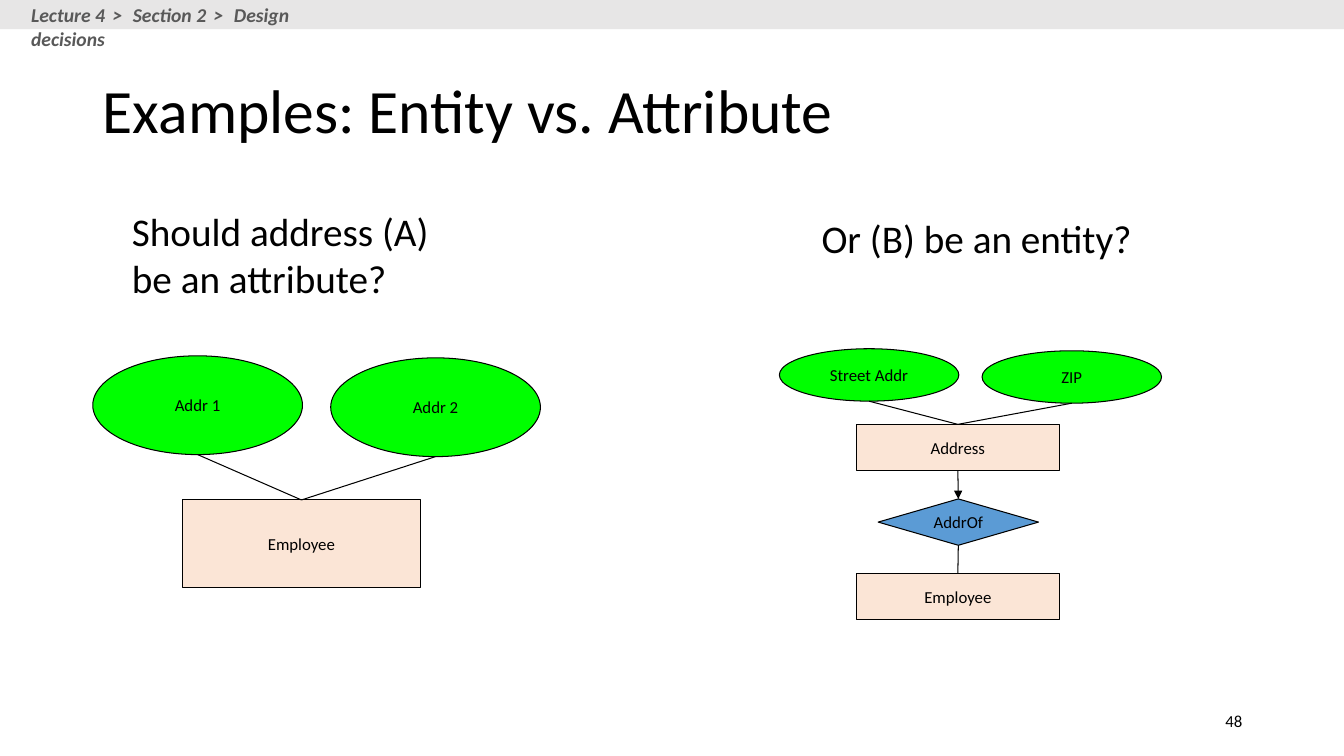
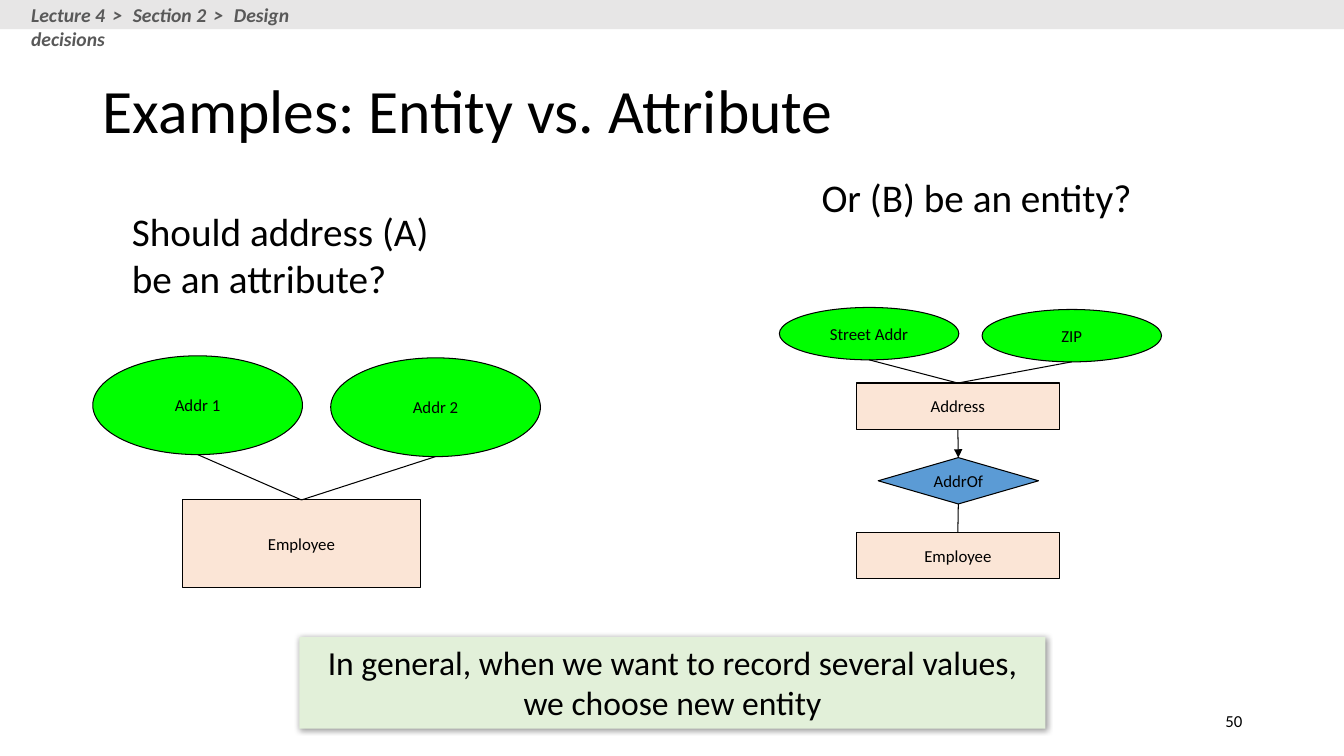
from dataclasses import dataclass
from typing import Any

from lxml import etree
from pptx import Presentation
from pptx import util as u
from pptx.dml.color import RGBColor
from pptx.enum import shapes, text
from pptx.oxml import ns

BLACK = "000000"
BAND = "E7E6E6"
CRUMB = "595959"
ENTITY = "FBE5D6"
ATTRIBUTE = "00FF00"
RELATION = "5B9BD5"
CALLOUT = "E2F0D9"

TITLE = "Examples: Entity vs. Attribute"
CRUMBS = ("Lecture 4", "Section 2", "Design decisions")
CRUMB_SPACING = 210

LEFT = {"alignment": text.PP_ALIGN.LEFT}
CENTER = {"alignment": text.PP_ALIGN.CENTER}
RIGHT = {"alignment": text.PP_ALIGN.RIGHT}
TOP = {"vertical_anchor": text.MSO_ANCHOR.TOP, "word_wrap": True,
       "auto_size": text.MSO_AUTO_SIZE.NONE}
MIDDLE = TOP | {"vertical_anchor": text.MSO_ANCHOR.MIDDLE}
LABEL = MIDDLE | {"word_wrap": False}


@dataclass(frozen=True)
class Area:
    left: float
    top: float
    width: float
    height: float

    def raised(self, lift: float) -> "Area":
        return Area(self.left, self.top - lift, self.width, self.height)

    def lengths(self) -> list[u.Length]:
        return [u.Inches(value) for value in (self.left, self.top, self.width, self.height)]


@dataclass(frozen=True)
class Kind:
    preset: shapes.MSO_SHAPE
    fill: str


@dataclass(frozen=True)
class Node:
    label: str
    kind: Kind
    area: Area


@dataclass(frozen=True)
class Link:
    source: int
    target: int
    arrow: bool = False


@dataclass(frozen=True)
class Diagram:
    question: str
    question_area: Area
    nodes: tuple[Node, ...]
    links: tuple[Link, ...]


@dataclass(frozen=True)
class PageData:
    number: int
    entity_lift: float = 0
    conclusion: str = ""


RECTANGLE = shapes.MSO_SHAPE.RECTANGLE
OVAL = shapes.MSO_SHAPE.OVAL
ENTITY_KIND = Kind(RECTANGLE, ENTITY)
ATTRIBUTE_KIND = Kind(OVAL, ATTRIBUTE)
RELATION_KIND = Kind(shapes.MSO_SHAPE.DIAMOND, RELATION)

ATTRIBUTE_DIAGRAM = Diagram(
    "Should address (A) be an attribute?",
    Area(1.21, 2.01, 3.39, 1.04),
    (
        Node("Employee", ENTITY_KIND, Area(1.81, 4.96, 2.36, 0.87)),
        Node("Addr 1", ATTRIBUTE_KIND, Area(0.92, 3.53, 2.08, 0.98)),
        Node("Addr 2", ATTRIBUTE_KIND, Area(3.28, 3.55, 2.08, 0.98)),
    ),
    (Link(1, 0), Link(2, 0)),
)
ENTITY_DIAGRAM = Diagram(
    "Or (B) be an entity?",
    Area(8.05, 2.08, 3.39, 0.57),
    (
        Node("Address", ENTITY_KIND, Area(8.49, 4.21, 2.02, 0.46)),
        Node("Street Addr", ATTRIBUTE_KIND, Area(7.73, 3.46, 1.78, 0.52)),
        Node("ZIP", ATTRIBUTE_KIND, Area(9.74, 3.48, 1.78, 0.52)),
        Node("AddrOf", RELATION_KIND, Area(8.71, 4.95, 1.59, 0.46)),
        Node("Employee", ENTITY_KIND, Area(8.49, 5.69, 2.02, 0.46)),
    ),
    (Link(1, 0), Link(2, 0), Link(0, 3, arrow=True), Link(3, 4)),
)
PAGES = (
    PageData(48),
    PageData(50, 0.41, "In general, when we want to record several values, we choose new entity"),
)


def color(value: str) -> RGBColor:
    return RGBColor.from_string(value)


def apply(target: Any, values: dict[str, Any]) -> None:
    for name, value in values.items():
        setattr(target, name, value)


def write(box: Any, content: str, size: float, frame: dict[str, Any],
          para_format: dict[str, Any], tint: str = BLACK, **style: bool) -> Any:
    apply(box.text_frame, frame)
    para = box.text_frame.paragraphs[0]
    apply(para, para_format)
    add_span(para, content, size, tint, **style)
    return para


def add_span(para: Any, content: str, size: float, tint: str, **style: bool) -> Any:
    span = para.add_run()
    span.text = content
    apply(span.font, {"name": "Calibri", "size": u.Pt(size), **style})
    span.font.color.rgb = color(tint)
    return span


def add_box(parent: Any, area: Area) -> Any:
    return parent.add_textbox(*area.lengths())


def add_figure(parent: Any, kind: Kind, area: Area, outlined: bool = False) -> Any:
    figure = parent.add_shape(kind.preset, *area.lengths())
    figure.shadow.inherit = False
    figure.fill.solid()
    figure.fill.fore_color.rgb = color(kind.fill)
    if outlined:
        figure.line.color.rgb = color(BLACK)
        figure.line.width = u.Pt(0.75)
    else:
        figure.line.fill.background()
    return figure


def add_link(parent: Any, source: Any, target: Any, arrow: bool) -> None:
    line = parent.add_connector(
        shapes.MSO_CONNECTOR.STRAIGHT,
        source.left + source.width // 2, source.top + source.height,
        target.left + target.width // 2, target.top)
    if source.auto_shape_type != OVAL:
        line.begin_connect(source, 2)
    line.end_connect(target, 0)
    line.line.color.rgb = color(BLACK)
    line.line.width = u.Pt(0.75)
    properties = line.element.spPr
    if arrow:
        outline = properties.find(ns.qn("a:ln"))
        etree.SubElement(outline, ns.qn("a:tailEnd"), type="triangle")
    etree.SubElement(properties, ns.qn("a:effectLst"))


def add_diagram(page: Any, diagram: Diagram, lift: float = 0) -> None:
    question = add_box(page.shapes, diagram.question_area.raised(lift))
    write(question, diagram.question, 28, TOP, LEFT)
    group = page.shapes.add_group_shape().shapes
    figures = []
    for node in diagram.nodes:
        figure = add_figure(group, node.kind, node.area.raised(lift), outlined=True)
        write(figure, node.label, 12, LABEL, CENTER)
        figures.append(figure)
    for link in diagram.links:
        add_link(group, figures[link.source], figures[link.target], link.arrow)


def add_frame(page: Any, number: int) -> None:
    title = page.shapes.title
    apply(title, dict(zip(("left", "top", "width", "height"),
                          Area(0.92, 0.4, 11.5, 1.45).lengths())))
    write(title, TITLE, 44, MIDDLE, LEFT | {"line_spacing": 0.9})
    write(add_box(page.shapes, Area(9.42, 6.95, 3, 0.4)), str(number), 12, MIDDLE, RIGHT)
    add_figure(page.shapes, Kind(RECTANGLE, BAND), Area(0, 0, 13.33, 0.29))
    style = {"bold": True, "italic": True}
    trail = add_box(page.shapes, Area(0.21, -0.02, 3.48, 0.34))
    para = write(trail, CRUMBS[0], 14, TOP, LEFT, CRUMB, **style)
    for crumb in CRUMBS[1:]:
        separator = add_span(para, " > ", 14, CRUMB, **style)
        separator._r.get_or_add_rPr().set("spc", str(CRUMB_SPACING))
        add_span(para, crumb, 14, CRUMB, **style)


def add_conclusion(page: Any, content: str) -> None:
    callout = add_figure(page.shapes, Kind(RECTANGLE, CALLOUT), Area(2.97, 6.32, 7.4, 0.91))
    write(callout, content, 24, TOP, CENTER)
    effects = callout.element.spPr.find(ns.qn("a:effectLst"))
    shadow = etree.SubElement(effects, ns.qn("a:outerShdw"), blurRad=str(u.Pt(4)),
                              dist=str(u.Pt(1)), dir="2700000", algn="tl", rotWithShape="0")
    shade = etree.SubElement(shadow, ns.qn("a:srgbClr"), val=BLACK)
    etree.SubElement(shade, ns.qn("a:alpha"), val="40000")


def main() -> None:
    deck = Presentation()
    deck.slide_width = u.Inches(13.33)
    deck.slide_height = u.Inches(7.5)
    for data in PAGES:
        page = deck.slides.add_slide(deck.slide_layouts[5])
        add_frame(page, data.number)
        add_diagram(page, ATTRIBUTE_DIAGRAM)
        add_diagram(page, ENTITY_DIAGRAM, data.entity_lift)
        if data.conclusion:
            add_conclusion(page, data.conclusion)
    deck.save("out.pptx")


if __name__ == "__main__":
    main()
